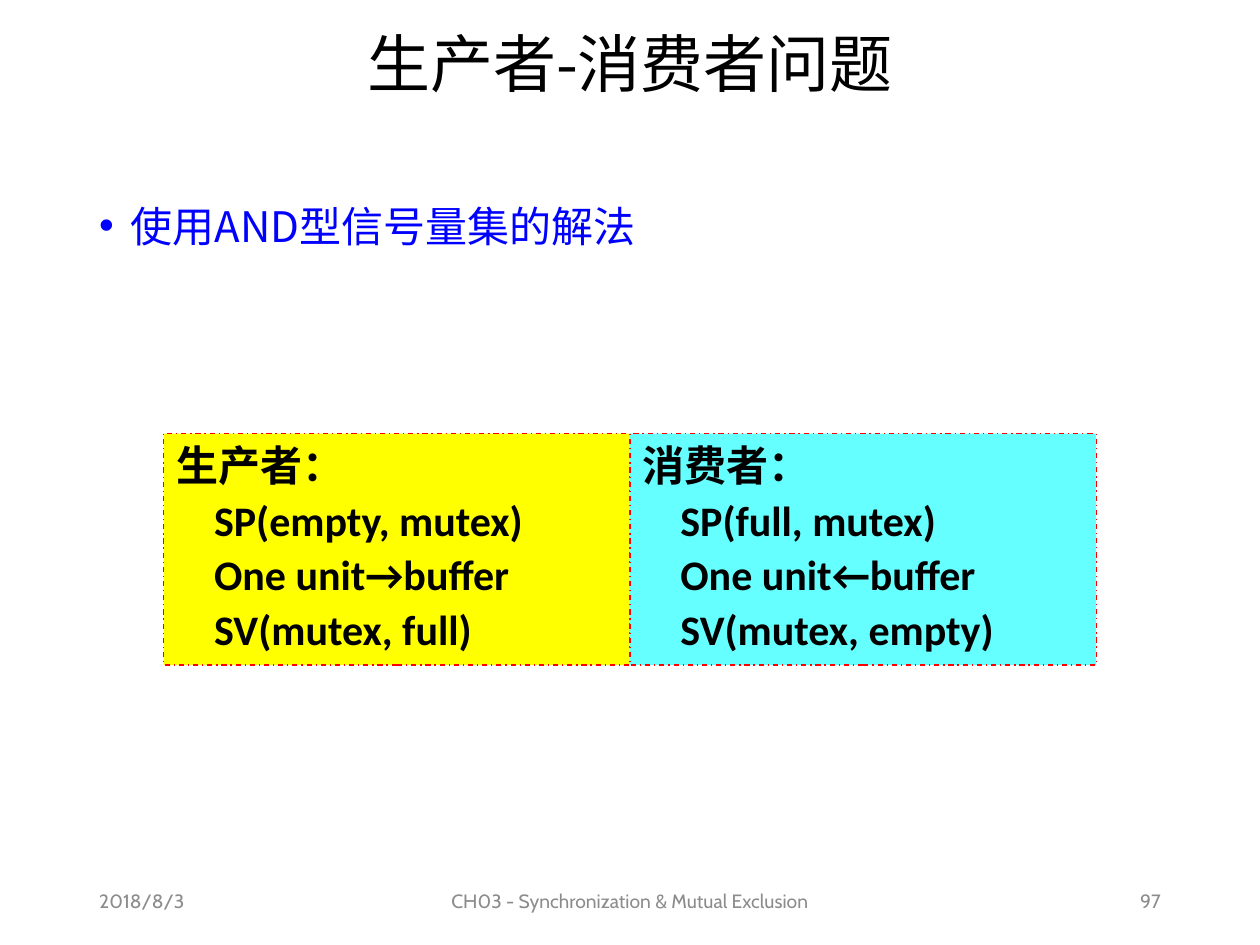
from dataclasses import dataclass

import pptx
import pptx.dml.color
import pptx.enum.dml
import pptx.enum.shapes
import pptx.enum.text
import pptx.oxml.ns
import pptx.oxml.xmlchemy
import pptx.util
from lxml import etree

Cm = pptx.util.Cm
Pt = pptx.util.Pt
Align = pptx.enum.text.PP_ALIGN
Anchor = pptx.enum.text.MSO_ANCHOR
qn = pptx.oxml.ns.qn


@dataclass(frozen=True)
class Theme:
    black: str = "000000"
    blue: str = "0000FF"
    gray: str = "8C8C8C"
    red: str = "FF0000"
    yellow: str = "FFFF00"
    cyan: str = "66FFFF"
    title_size: int = 36
    body_size: int = 24
    footer_size: int = 11
    chinese_font: str = "Noto Sans CJK SC"
    code_font: str = "Calibri"
    footer_font: str = "Cabin"


def rgb(value):
    return pptx.dml.color.RGBColor.from_string(value)


def write(para, text, *, font, size, color, chinese_font, bold=False, align=Align.LEFT):
    """Add formatted text to a paragraph."""
    para.alignment = align
    span = para.add_run()
    span.text = text
    span.font.size = Pt(size)
    span.font.bold = bold
    span.font.color.rgb = rgb(color)
    span.font.name = font
    east_asian = etree.SubElement(span.font._element, qn("a:ea"))
    east_asian.set("typeface", chinese_font)


class SlideBuilder:
    def __init__(self, page, theme):
        self.page = page
        self.theme = theme

    def text(self, text, left, top, width, height, anchor=Anchor.MIDDLE, **style):
        box = self.page.shapes.add_textbox(Cm(left), Cm(top), Cm(width), Cm(height))
        frame = box.text_frame
        frame.word_wrap = True
        frame.vertical_anchor = anchor
        para = frame.paragraphs[0]
        write(para, text, chinese_font=self.theme.chinese_font, **style)
        return para

    def bullet(self, text, left, top, width, height, **style):
        para = self.text(text, left, top, width, height, anchor=Anchor.TOP, **style)
        para.line_spacing = 1.25
        properties = para._p.get_or_add_pPr()
        properties.set("marL", str(Cm(0.64)))
        properties.set("indent", str(-Cm(0.64)))
        etree.SubElement(properties, qn("a:buFont")).set("typeface", "Arial")
        etree.SubElement(properties, qn("a:buChar")).set("char", "•")

    def code_panel(self, lines, left, top, width, height, fill):
        theme = self.theme
        box = self.page.shapes.add_shape(
            pptx.enum.shapes.MSO_SHAPE.RECTANGLE, Cm(left), Cm(top), Cm(width), Cm(height)
        )
        box.shadow.inherit = False
        box.fill.solid()
        box.fill.fore_color.rgb = rgb(fill)
        box.line.color.rgb = rgb(theme.red)
        box.line.width = Pt(0.75)
        box.line.dash_style = pptx.enum.dml.MSO_LINE.DASH_DOT
        frame = box.text_frame
        frame.word_wrap = True
        frame.vertical_anchor = Anchor.TOP
        for index, line in enumerate(lines):
            para = frame.add_paragraph() if index else frame.paragraphs[0]
            if index:
                para.space_before = Pt(theme.body_size / 10)
            write(para, line, font=theme.code_font, size=theme.body_size,
                  color=theme.black, chinese_font=theme.chinese_font, bold=True)


def main():
    theme = Theme()
    deck = pptx.Presentation()
    deck.slide_width, deck.slide_height = Cm(25.4), Cm(19.05)
    page = deck.slides.add_slide(deck.slide_layouts[6])
    builder = SlideBuilder(page, theme)
    margin, content_width = 1.75, 21.9

    # Title and topic
    title = builder.text("生产者-消费者问题", margin, 0.38, content_width, 1.93,
                         font=theme.chinese_font, size=theme.title_size,
                         color=theme.black, align=Align.CENTER)
    title.line_spacing = 0.9
    builder.bullet("使用AND型信号量集的解法", margin, 3.66, content_width, 13.67,
                   font=theme.chinese_font, size=theme.body_size, color=theme.blue)

    # Producer and consumer, side by side around the centre
    panel_width = 9.4
    panels = [
        (theme.yellow, ["生产者：", "    SP(empty, mutex)",
                        "    One unit→buffer", "    SV(mutex, full)"]),
        (theme.cyan, ["消费者：", "    SP(full, mutex)",
                      "    One unit←buffer", "    SV(mutex, empty)"]),
    ]
    for index, (fill, lines) in enumerate(panels):
        builder.code_panel(lines, 3.3 + index * panel_width, 8.74, panel_width, 4.67, fill)

    # Footer
    footers = [
        ("2018/8/3", margin, 5.72, Align.LEFT),
        ("CH03 - Synchronization & Mutual Exclusion", 8.41, 8.58, Align.CENTER),
        ("97", 17.93, 5.72, Align.RIGHT),
    ]
    for text, left, width, align in footers:
        builder.text(text, left, 17.65, width, 1.02, font=theme.footer_font,
                     size=theme.footer_size, color=theme.gray, align=align)

    deck.save("out.pptx")


if __name__ == "__main__":
    main()
